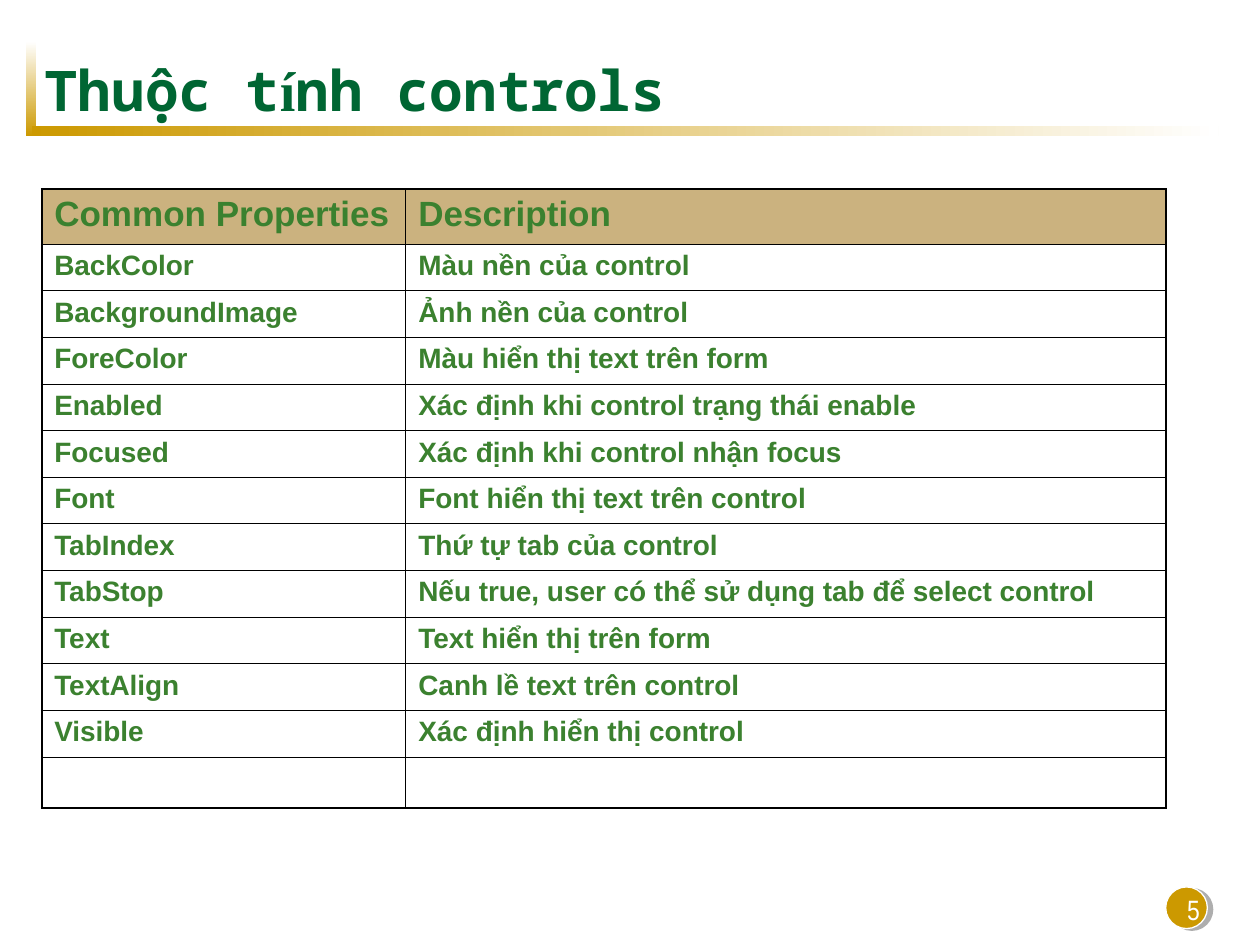
from lxml.etree import SubElement
from pptx import Presentation
from pptx.dml.color import RGBColor
from pptx.enum.shapes import MSO_SHAPE
from pptx.enum.text import MSO_ANCHOR, PP_ALIGN
from pptx.oxml.ns import qn
from pptx.util import Cm, Pt

GOLD = RGBColor(0xCC, 0x99, 0x00)
WHITE = RGBColor(0xFF, 0xFF, 0xFF)
BLACK = RGBColor(0x00, 0x00, 0x00)
SHADOW_GREY = RGBColor(0x5F, 0x5F, 0x5F)
TITLE_GREEN = RGBColor(0x00, 0x66, 0x33)
TABLE_GREEN = RGBColor(0x3B, 0x81, 0x2F)
HEADER_BROWN = RGBColor(0x99, 0x66, 0x00)

TITLE_PARTS = [
    ("Thuộc t", "Noto Sans Mono"),
    ("í", "Times New Roman"),
    ("nh controls", "Noto Sans Mono"),
]
PROPERTIES = [
    ("Common Properties", "Description"),
    ("BackColor", "Màu nền của control"),
    ("BackgroundImage", "Ảnh nền của control"),
    ("ForeColor", "Màu hiển thị text trên form"),
    ("Enabled", "Xác định khi control trạng thái enable"),
    ("Focused", "Xác định khi control nhận focus"),
    ("Font", "Font hiển thị text trên control"),
    ("TabIndex", "Thứ tự tab của control"),
    ("TabStop", "Nếu true, user có thể sử dụng tab để select control"),
    ("Text", "Text hiển thị trên form"),
    ("TextAlign", "Canh lề text trên control"),
    ("Visible", "Xác định hiển thị control"),
    ("", ""),
]
THIN, THICK = Pt(0.45), Pt(1.08)


def add_text(paragraph, text, *, font, size, color, bold=False):
    run = paragraph.add_run()
    run.text = text
    run.font.name = font
    run.font.size = Pt(size)
    run.font.bold = bold
    run.font.color.rgb = color


def add_gradient_bar(slide, left, top, width, height, colors, angle):
    bar = slide.shapes.add_shape(MSO_SHAPE.RECTANGLE, left, top, width, height)
    bar.shadow.inherit = False
    bar.line.fill.background()
    bar.fill.gradient()
    bar.fill.gradient_angle = angle
    for stop, color, position in zip(bar.fill.gradient_stops, colors, (0, 1)):
        stop.color.rgb = color
        stop.position = position


def add_title_frame(slide, left, top, width, height):
    """Draw a fading bar down the left and another along the bottom."""
    thickness = Cm(0.2)
    add_gradient_bar(slide, left, top, thickness, height, (WHITE, GOLD), 270)
    inset = Cm(0.11)
    add_gradient_bar(slide, left + inset, top + height - thickness,
                     width - inset, thickness, (GOLD, WHITE), 0)


def place_title(slide, left, top, width, height):
    title = slide.shapes.title
    title.left, title.top, title.width, title.height = left, top, width, height
    frame = title.text_frame
    frame.vertical_anchor = MSO_ANCHOR.MIDDLE
    paragraph = frame.paragraphs[0]
    paragraph.alignment = PP_ALIGN.LEFT
    for text, font in TITLE_PARTS:
        add_text(paragraph, text, font=font, size=32, color=TITLE_GREEN, bold=True)


def add_alpha(color_parent, percent):
    color = color_parent.find(".//" + qn("a:srgbClr"))
    SubElement(color, qn("a:alpha"), val=str(percent * 1000))


def set_borders(cell, **widths):
    """Draw the cell's sides, which come before the fill in the XML."""
    properties = cell._tc.get_or_add_tcPr()
    for index, side in enumerate(("left", "right", "top", "bottom")):
        line = SubElement(properties, qn("a:ln" + side[0].upper()), w=str(widths[side]))
        fill = SubElement(line, qn("a:solidFill"))
        SubElement(fill, qn("a:srgbClr"), val=str(BLACK))
        properties.insert(index, line)


def add_properties_table(slide, left, top, width, height):
    row_count, column_count = len(PROPERTIES), len(PROPERTIES[0])
    table = slide.shapes.add_table(
        row_count, column_count, left, top, width, height).table
    name_width = Cm(7.34)
    table.columns[0].width = name_width
    table.columns[1].width = width - name_width
    header_height, row_height = Cm(1.11), Cm(0.94)
    for row in table.rows:
        row.height = row_height
    table.rows[0].height = header_height
    table.rows[row_count - 1].height = height - header_height - row_height * (row_count - 2)

    for r, texts in enumerate(PROPERTIES):
        is_header = r == 0
        for c, text in enumerate(texts):
            cell = table.cell(r, c)
            if is_header:
                cell.fill.solid()
                cell.fill.fore_color.rgb = HEADER_BROWN
                add_alpha(cell._tc.tcPr, 50)
            else:
                cell.fill.background()
            set_borders(
                cell,
                left=THICK if c == 0 else THIN,
                right=THICK if c == column_count - 1 else THIN,
                top=THICK if is_header else THIN,
                bottom=THICK if r == row_count - 1 else THIN,
            )
            if text:
                add_text(cell.text_frame.paragraphs[0], text, font="Arial",
                         size=20 if is_header else 16, color=TABLE_GREEN, bold=True)


def add_page_number(slide, left, top, width, height, number):
    """Put the number at the box's right end, over a shadowed disc."""
    diameter = Cm(0.84)
    disc = slide.shapes.add_shape(
        MSO_SHAPE.OVAL, left + width - diameter - Cm(0.1), top + Cm(0.35),
        diameter, diameter)
    disc.fill.solid()
    disc.fill.fore_color.rgb = GOLD
    disc.line.color.rgb = WHITE
    disc.line.width = Pt(0.75)
    disc.shadow.inherit = False
    effects = disc._element.spPr.find(qn("a:effectLst"))
    shadow = SubElement(effects, qn("a:outerShdw"), dist=str(Pt(3.2)),
                        dir=str(18 * 60000), algn="ctr", rotWithShape="0")
    SubElement(shadow, qn("a:srgbClr"), val=str(SHADOW_GREY))
    add_alpha(shadow, 50)

    frame = slide.shapes.add_textbox(left, top, width, height).text_frame
    frame.word_wrap = True
    frame.vertical_anchor = MSO_ANCHOR.BOTTOM
    paragraph = frame.paragraphs[0]
    paragraph.alignment = PP_ALIGN.RIGHT
    add_text(paragraph, number, font="Arial Narrow", size=16, color=WHITE)


def main():
    presentation = Presentation()
    presentation.slide_width, presentation.slide_height = Cm(25.4), Cm(19.05)
    slide = presentation.slides.add_slide(presentation.slide_layouts[5])
    add_title_frame(slide, Cm(0.53), Cm(0.84), Cm(24.04), Cm(1.9))
    place_title(slide, Cm(0.64), Cm(1.07), Cm(22.86), Cm(1.47))
    add_properties_table(slide, Cm(0.84), Cm(3.81), Cm(22.66), Cm(12.46))
    add_page_number(slide, Cm(18.52), Cm(17.53), Cm(5.92), Cm(1.27), "5")
    presentation.save("out.pptx")


if __name__ == "__main__":
    main()
